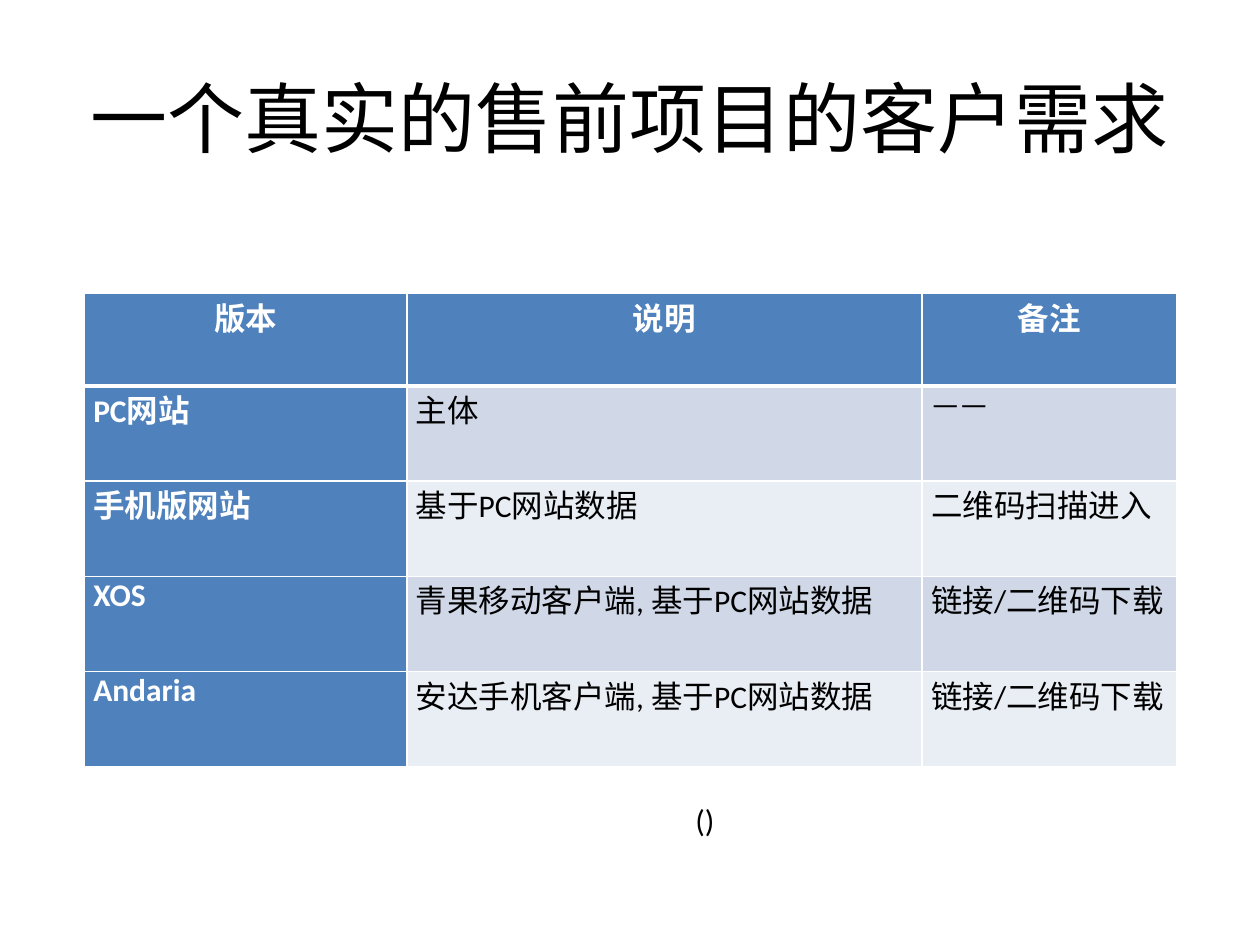
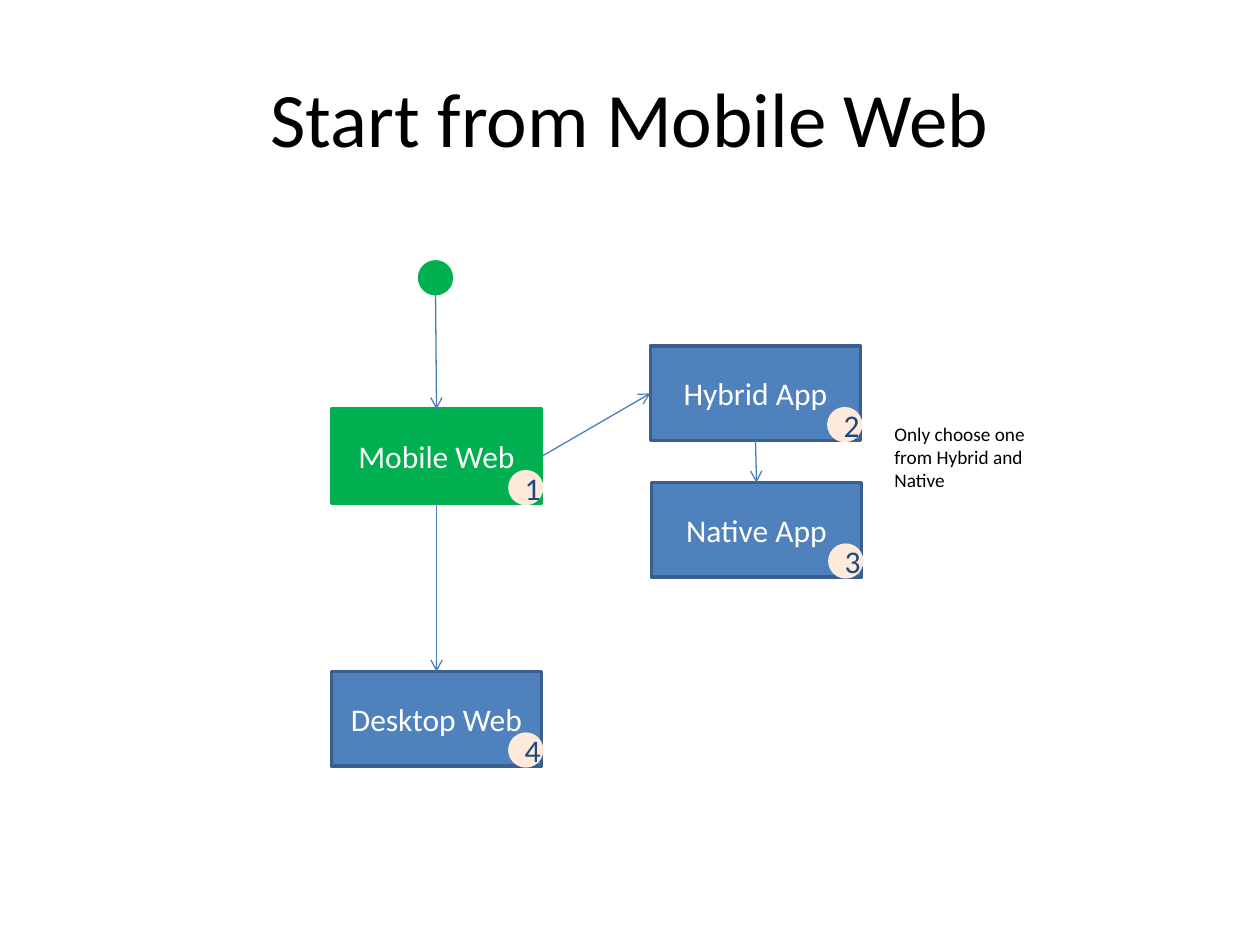
from dataclasses import dataclass

from lxml import etree
from pptx import Presentation
from pptx.dml.color import RGBColor
from pptx.enum.shapes import MSO_CONNECTOR, MSO_SHAPE
from pptx.enum.text import MSO_ANCHOR, PP_ALIGN
from pptx.oxml.ns import qn
from pptx.util import Cm, Pt

RECTANGLE, OVAL = MSO_SHAPE.RECTANGLE, MSO_SHAPE.OVAL
STRAIGHT = MSO_CONNECTOR.STRAIGHT
MIDDLE = MSO_ANCHOR.MIDDLE
LEFT, CENTER, JUSTIFY = PP_ALIGN.LEFT, PP_ALIGN.CENTER, PP_ALIGN.JUSTIFY
TOP_SIDE, LEFT_SIDE, BOTTOM_SIDE, RIGHT_SIDE = range(4)


@dataclass(frozen=True)
class Theme:
    font: str = "Calibri"
    title_size: float = 44
    body_size: float = 18
    note_size: float = 11
    black: str = "000000"
    white: str = "FFFFFF"
    blue: str = "4F81BD"
    blue_edge: str = "3A5F8C"
    arrow: str = "4B7EBC"
    green: str = "00B050"
    badge: str = "FDEADA"
    badge_text: str = "1F497D"
    bands: tuple = ("D0D8E8", "E9EDF4")


THEME = Theme()

# Slide 1: client requirements
VERSIONS_TITLE = "一个真实的售前项目的客户需求"
VERSIONS = [
    ("版本", "说明", "备注"),
    ("PC网站", "主体", "——"),
    ("手机版网站", "基于PC网站数据", "二维码扫描进入"),
    ("XOS", "青果移动客户端, 基于PC网站数据", "链接/二维码下载"),
    ("Andaria", "安达手机客户端, 基于PC网站数据", "链接/二维码下载"),
]
COLUMN_WIDTHS = (6.5, 10.39, 5.13)
HEADER_HEIGHT, ROW_HEIGHT = 1.86, 1.92
BRACKETS = "()"

# Slide 2: order of development; name: (step, left, top, fill, edge)
ROADMAP_TITLE = "Start from Mobile Web"
STEPS = {
    "Mobile Web": (1, 6.68, 8.25, THEME.green, THEME.green),
    "Hybrid App": (2, 13.11, 6.98, THEME.blue, THEME.blue_edge),
    "Native App": (3, 13.13, 9.73, THEME.blue, THEME.blue_edge),
    "Desktop Web": (4, 6.68, 13.54, THEME.blue, THEME.blue_edge),
}
ARROWS = [
    ("Mobile Web", BOTTOM_SIDE, "Desktop Web", TOP_SIDE),
    ("Mobile Web", RIGHT_SIDE, "Hybrid App", LEFT_SIDE),
    ("Hybrid App", BOTTOM_SIDE, "Native App", TOP_SIDE),
]
STEP_WIDTH, STEP_HEIGHT, DOT = 4.24, 1.9, 0.64
START_LEFT, START_TOP = 8.46, 5.28
CHOICE_NOTE = "Only choose one from Hybrid and Native"


def rgb(value):
    return RGBColor.from_string(value)


def write(frame, text, size, color, align=LEFT, bold=False):
    frame.text = text
    paragraph = frame.paragraphs[0]
    paragraph.alignment = align
    font = paragraph.font
    font.name, font.size, font.bold = THEME.font, Pt(size), bold
    font.color.rgb = rgb(color)


def add_titled_slide(deck, text):
    slide = deck.slides.add_slide(deck.slide_layouts[5])
    title = slide.shapes.title
    title.left, title.top, title.width, title.height = Cm(1.27), Cm(0.76), Cm(22.86), Cm(3.18)
    write(title.text_frame, text, THEME.title_size, THEME.black, CENTER)
    title.text_frame.vertical_anchor = MIDDLE
    return slide


def add_note(slide, text, box, size, wrap):
    note = slide.shapes.add_textbox(*map(Cm, box)).text_frame
    note.word_wrap = wrap
    write(note, text, size, THEME.black)


def add_filled(slide, kind, box, fill, edge):
    shape = slide.shapes.add_shape(kind, *map(Cm, box))
    shape.shadow.inherit = False
    shape.fill.solid()
    shape.fill.fore_color.rgb = rgb(fill)
    shape.line.color.rgb = rgb(edge)
    shape.line.width = Pt(2)
    return shape


def label(shape, text, color):
    write(shape.text_frame, text, THEME.body_size, color, CENTER)
    shape.text_frame.vertical_anchor = MIDDLE


def add_arrow(slide, target, target_side, source=None, source_side=None, start=(0, 0)):
    """Point at a side of target, from a side of source or from a free start point."""
    arrow = slide.shapes.add_connector(STRAIGHT, *map(Cm, start), 0, 0)
    if source is not None:
        arrow.begin_connect(source, source_side)
    arrow.end_connect(target, target_side)
    arrow.line.color.rgb = rgb(THEME.arrow)
    arrow.line.width = Pt(0.75)
    etree.SubElement(arrow.line._get_or_add_ln(), qn("a:tailEnd"), type="arrow")
    etree.SubElement(arrow._element.spPr, qn("a:effectLst"))


def add_borders(cell, bottom_width):
    properties = cell._tc.get_or_add_tcPr()
    for place, side in enumerate("LRTB"):
        width = Pt(bottom_width if side == "B" else 1)
        line = etree.Element(qn(f"a:ln{side}"), w=str(width))
        fill = etree.SubElement(line, qn("a:solidFill"))
        etree.SubElement(fill, qn("a:srgbClr"), val=THEME.white)
        properties.insert(place, line)


def build_versions(deck):
    slide = add_titled_slide(deck, VERSIONS_TITLE)
    heights = [HEADER_HEIGHT] + [ROW_HEIGHT] * (len(VERSIONS) - 1)
    box = (1.7, 5.92, sum(COLUMN_WIDTHS), sum(heights))
    table = slide.shapes.add_table(len(VERSIONS), len(COLUMN_WIDTHS), *map(Cm, box)).table
    for column, width in zip(table.columns, COLUMN_WIDTHS):
        column.width = Cm(width)
    for r, (row, height, texts) in enumerate(zip(table.rows, heights, VERSIONS)):
        row.height = Cm(height)
        for c, (cell, text) in enumerate(zip(row.cells, texts)):
            heading = r == 0 or c == 0
            cell.margin_left = cell.margin_right = Cm(0.18)
            cell.margin_top = cell.margin_bottom = 0
            cell.fill.solid()
            cell.fill.fore_color.rgb = rgb(THEME.blue if heading else THEME.bands[(r - 1) % 2])
            add_borders(cell, 3 if r == 0 else 1)
            write(cell.text_frame, text, THEME.body_size,
                  THEME.white if heading else THEME.black,
                  CENTER if r == 0 else JUSTIFY, heading)
    add_note(slide, BRACKETS, (13.77, 16.03, 0.91, 1.02), THEME.body_size, False)


def build_roadmap(deck):
    slide = add_titled_slide(deck, ROADMAP_TITLE)
    steps = {}
    for name, (_, left, top, fill, edge) in STEPS.items():
        steps[name] = add_filled(slide, RECTANGLE, (left, top, STEP_WIDTH, STEP_HEIGHT), fill, edge)
        label(steps[name], name, THEME.white)

    add_filled(slide, OVAL, (START_LEFT, START_TOP, DOT, DOT), THEME.green, THEME.green)
    add_arrow(slide, steps["Mobile Web"], TOP_SIDE,
              start=(START_LEFT + DOT / 2, START_TOP + DOT))
    for source, source_side, target, target_side in ARROWS:
        add_arrow(slide, steps[target], target_side, steps[source], source_side)

    for number, left, top, _, _ in STEPS.values():
        corner = (left + STEP_WIDTH - DOT, top + STEP_HEIGHT - DOT, DOT, DOT)
        badge = add_filled(slide, OVAL, corner, THEME.badge, THEME.badge)
        label(badge, str(number), THEME.badge_text)
    add_note(slide, CHOICE_NOTE, (17.78, 8.38, 3.81, 1.68), THEME.note_size, True)


def main():
    deck = Presentation()
    deck.slide_width, deck.slide_height = Cm(25.4), Cm(19.05)
    build_versions(deck)
    build_roadmap(deck)
    deck.save("out.pptx")


if __name__ == "__main__":
    main()
